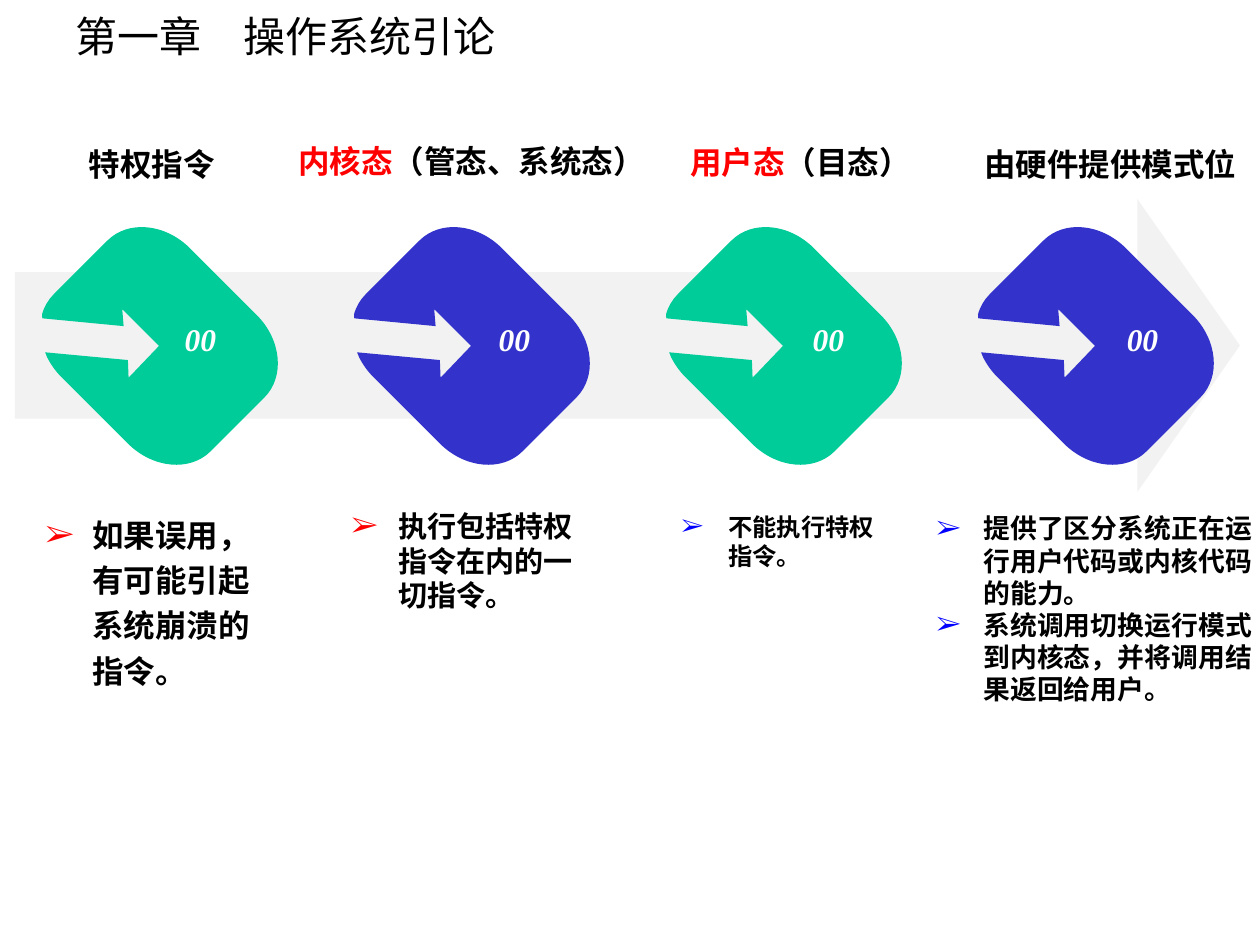
from math import cos, radians, sin, tan

from pptx import Presentation
from pptx.dml.color import RGBColor
from pptx.enum.shapes import MSO_SHAPE as Shape
from pptx.enum.text import MSO_ANCHOR as Anchor, PP_ALIGN as Align
from pptx.oxml.ns import qn
from pptx.util import Emu, Pt
from lxml.etree import SubElement

PX = 914400 // 126
BLACK = RGBColor(0x00, 0x00, 0x00)
WHITE = RGBColor(0xFF, 0xFF, 0xFF)
RED = RGBColor(0xFF, 0x00, 0x00)
BLUE = RGBColor(0x00, 0x00, 0xFF)
GREY = RGBColor(0xF2, 0xF2, 0xF2)
GREEN = RGBColor(0x00, 0xCC, 0x99)
INDIGO = RGBColor(0x33, 0x33, 0xCC)
SERIF = "Times New Roman"
SANS = "Noto Sans CJK SC"

# Step badge: a rounded rectangle around its centre, with an arrow cut into it
HALF_W, HALF_H = 111, 91
RADIUS_X, RADIUS_Y = 64, 53
ARROW_NOTCH = [(-76, 85), (-12, 32), (1, 44), (0, 0),
               (-52, 0), (-39, 11), (-102, 63)]

HEADINGS = [
    ((0, 139, 304, 54), Align.CENTER, [("特权指令", BLACK)]),
    ((286, 136, 374, 54), Align.LEFT, [("内核态", RED), ("（管态、系统态）", BLACK)]),
    ((657, 137, 266, 54), Align.RIGHT, [("用户态", RED), ("（目态）", BLACK)]),
    ((936, 139, 349, 54), Align.CENTER, [("由硬件提供模式位", BLACK)]),
]
NOTES = [
    ((33, 502, 258, 202), 18, 1.2, RED, ["如果误用，有可能引起系统崩溃的指令。"]),
    ((339, 502, 257, 118), 16.6, 1.0, RED, ["执行包括特权指令在内的一切指令。"]),
    ((669, 506, 228, 73), 13.9, 1.0, BLUE, ["不能执行特权指令。"]),
    ((924, 506, 348, 202), 15.3, 1.0, BLUE,
     ["提供了区分系统正在运行用户代码或内核代码的能力。",
      "系统调用切换运行模式到内核态，并将调用结果返回给用户。"]),
]


def px(*lengths):
    return [Emu(length * PX) for length in lengths]


def paint(shape, color):
    shape.shadow.inherit = False
    shape.fill.solid()
    shape.fill.fore_color.rgb = color
    shape.line.fill.background()


def add_text_box(page, place, wrap=True, anchor=Anchor.TOP):
    frame = page.shapes.add_textbox(*px(*place)).text_frame
    frame.word_wrap = wrap
    frame.vertical_anchor = anchor
    return frame


def add_span(para, text, color, **formats):
    span = para.add_run()
    span.text = text
    span.font.color.rgb = color
    for name, value in ({"name": SERIF, "size": Pt(18), "bold": True} | formats).items():
        setattr(span.font, name, value)


def add_bullet(para, color):
    props = para._p.get_or_add_pPr()
    indent = 47 * PX
    props.set("marL", str(indent))
    props.set("indent", str(-indent))
    bullet_color = SubElement(props, qn("a:buClr"))
    SubElement(bullet_color, qn("a:srgbClr")).set("val", str(color))
    SubElement(props, qn("a:buFont")).set("typeface", SERIF)
    SubElement(props, qn("a:buChar")).set("char", "➢")


def add_heading(page, place, align, spans):
    para = add_text_box(page, place).paragraphs[0]
    para.alignment = align
    for text, color in spans:
        add_span(para, text, color)


def add_notes(page, place, size, spacing, bullet_color, lines):
    frame = add_text_box(page, place)
    for index, line in enumerate(lines):
        para = frame.add_paragraph() if index else frame.paragraphs[0]
        para.line_spacing = spacing
        add_bullet(para, bullet_color)
        add_span(para, line, BLACK, size=Pt(size))


def corner(side_x, side_y, start, end):
    """Bézier points of a badge corner between two clockwise angles in degrees."""
    middle_x = side_x * (HALF_W - RADIUS_X)
    middle_y = side_y * (HALF_H - RADIUS_Y)
    a, b = radians(start), radians(end)
    pull = 4 / 3 * tan((b - a) / 4)
    unit = [(cos(a), sin(a)),
            (cos(a) - pull * sin(a), sin(a) + pull * cos(a)),
            (cos(b) + pull * sin(b), sin(b) - pull * cos(b)),
            (cos(b), sin(b))]
    return [(middle_x + RADIUS_X * x, middle_y + RADIUS_Y * y) for x, y in unit]


def bend(freeform, starts):
    """Turn the three lines after each start point into one curve."""
    nodes = list(freeform._element.find(".//" + qn("a:path")))
    for start in starts:
        curve, *rest = nodes[start + 1:start + 4]
        curve.tag = qn("a:cubicBezTo")
        for node in rest:
            curve.append(node[0])
            node.getparent().remove(node)


def add_badge(page, center_x, center_y, color):
    parts = [corner(-1, -1, 180, 270), corner(1, -1, 270, 360),
             corner(1, 1, 0, 90), corner(-1, 1, 90, 112),
             ARROW_NOTCH, corner(-1, 1, 155, 180)]
    outline, starts = [], []
    for part in parts:
        if part is not ARROW_NOTCH:
            starts.append(len(outline))
        outline += part
    points = [(round((center_x + x) * PX), round((center_y + y) * PX)) for x, y in outline]
    builder = page.shapes.build_freeform(*points[0])
    builder.add_line_segments(points[1:], close=True)
    badge = builder.convert_to_shape()
    bend(badge, starts)
    badge.rotation = 45
    paint(badge, color)


def add_badge_label(page, left):
    para = add_text_box(page, (left, 292, 79, 93), anchor=Anchor.MIDDLE).paragraphs[0]
    para.alignment = Align.CENTER
    add_span(para, "00", WHITE, italic=True)


def main():
    deck = Presentation()
    deck.slide_width, deck.slide_height = px(1260, 945)
    page = deck.slides.add_slide(deck.slide_layouts[6])

    title = add_text_box(page, (63, 4, 455, 63), wrap=False).paragraphs[0]
    add_span(title, "第一章　操作系统引论", BLACK, name=SANS, size=Pt(24), bold=False)

    band = page.shapes.add_shape(Shape.RIGHT_ARROW, *px(15, 199, 1225, 293))
    band.adjustments[1] = 0.35
    paint(band, GREY)

    for step, color in enumerate([GREEN, INDIGO] * 2):
        add_badge(page, 159 + 312 * step, 346, color)
    for heading in HEADINGS:
        add_heading(page, *heading)
    for step in range(4):
        add_badge_label(page, 161 + 314 * step)
    for note in NOTES:
        add_notes(page, *note)

    deck.save("out.pptx")


if __name__ == "__main__":
    main()
